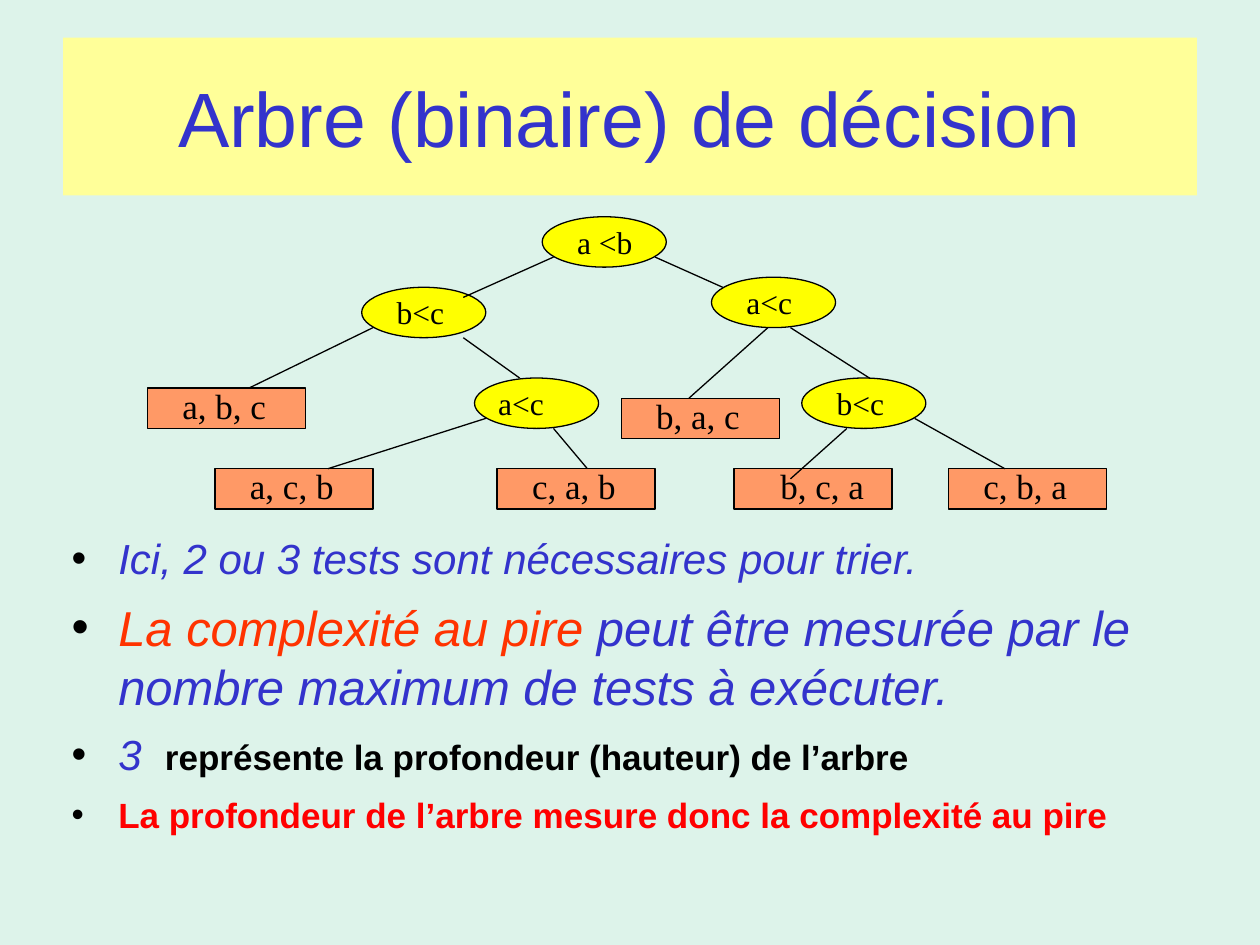
from dataclasses import dataclass

from lxml import etree
from pptx import Presentation
from pptx.dml.color import RGBColor
from pptx.enum.shapes import MSO_CONNECTOR, MSO_SHAPE
from pptx.enum.text import MSO_ANCHOR, MSO_AUTO_SIZE, PP_ALIGN
from pptx.oxml.ns import qn
from pptx.util import Cm, Pt

OVAL = MSO_SHAPE.OVAL
RECTANGLE = MSO_SHAPE.RECTANGLE
STRAIGHT = MSO_CONNECTOR.STRAIGHT
MIDDLE = MSO_ANCHOR.MIDDLE
TOP = MSO_ANCHOR.TOP
NO_FIT = MSO_AUTO_SIZE.NONE
CENTER = PP_ALIGN.CENTER
LEFT = PP_ALIGN.LEFT

COLORS = {
    "background": "DDF3EA",
    "banner": "FFFF99",
    "blue": "3333CC",
    "orange": "FF3300",
    "red": "FF0000",
    "black": "000000",
    "test": "FFFF00",
    "order": "FF9966",
}

TREE_LEFT, TREE_TOP = 2.97, 4.37
COLUMN = 16.15 / 71
ROW = 5.08 / 25


@dataclass(frozen=True)
class NodeStyle:
    outline: int
    fill: str
    columns: int
    rows: int
    label_rise: int
    label_width: float
    label_height: float
    size: int


@dataclass(frozen=True)
class Node:
    style: NodeStyle
    label: str
    column: int
    row: int
    label_shift: int = 2


@dataclass(frozen=True)
class Branch:
    start: tuple[int, int]
    end: tuple[int, int]


@dataclass(frozen=True)
class Span:
    text: str
    size: int
    color: str
    bold: bool = False
    italic: bool = False
    tracking: int = 0


TEST = NodeStyle(OVAL, "test", 11, 5, 0, 1.78, 1.02, 18)
ORDER = NodeStyle(RECTANGLE, "order", 14, 4, 1, 2.29, 1.12, 20)

NODES = [
    Node(TEST, "a <b", 35, 0),
    Node(TEST, "b<c", 19, 7),
    Node(TEST, "a<c", 50, 6),
    Node(TEST, "a<c", 29, 16, 1),
    Node(TEST, "b<c", 58, 16),
    Node(ORDER, "a, b, c", 0, 17),
    Node(ORDER, "b, a, c", 42, 18),
    Node(ORDER, "a, c, b", 6, 25),
    Node(ORDER, "c, a, b", 31, 25),
    Node(ORDER, "b, c, a", 52, 25, 3),
    Node(ORDER, "c, b, a", 71, 25),
]

BRANCHES = [
    Branch((36, 4), (28, 8)),
    Branch((45, 4), (51, 7)),
    Branch((20, 11), (9, 17)),
    Branch((28, 12), (33, 16)),
    Branch((55, 11), (48, 18)),
    Branch((57, 11), (64, 16)),
    Branch((30, 20), (16, 25)),
    Branch((36, 21), (39, 25)),
    Branch((62, 21), (57, 26)),
    Branch((68, 20), (76, 25)),
]

REMARKS = [
    [Span("Ici, 2 ou 3 tests sont nécessaires pour trier.", 24, "blue", italic=True)],
    [
        Span("La complexité au pire ", 28, "orange", italic=True),
        Span("peut être mesurée par le nombre maximum de tests à exécuter.",
             28, "blue", italic=True),
    ],
    [
        Span("3 ", 24, "blue", italic=True, tracking=335),
        Span("représente la profondeur (hauteur) de l’arbre", 20, "black", bold=True),
    ],
    [Span("La profondeur de l’arbre mesure donc la complexité au pire",
          20, "red", bold=True)],
]


def color(name: str) -> RGBColor:
    return RGBColor.from_string(COLORS[name])


def apply(target, values: dict) -> None:
    for name, value in values.items():
        setattr(target, name, value)


def place(shape, left: float, top: float, width: float, height: float) -> None:
    apply(shape, {"left": Cm(left), "top": Cm(top),
                  "width": Cm(width), "height": Cm(height)})


def paint(shape, fill: str) -> None:
    shape.fill.solid()
    shape.fill.fore_color.rgb = color(fill)


def ink(line) -> None:
    line.color.rgb = color("black")
    line.width = Pt(0.75)


def add_span(para, span: Span, font_name: str = "Arial") -> None:
    run = para.add_run()
    run.text = span.text
    apply(run.font, {"name": font_name, "size": Pt(span.size),
                     "bold": span.bold, "italic": span.italic})
    run.font.color.rgb = color(span.color)
    if span.tracking:
        run.font._element.set("spc", str(span.tracking))


def add_bullet(para) -> None:
    properties = para._p.get_or_add_pPr()
    properties.set("marL", str(Cm(0.94)))
    properties.set("indent", str(-Cm(0.94)))
    bullet_color = etree.SubElement(properties, qn("a:buClr"))
    etree.SubElement(bullet_color, qn("a:srgbClr"), val=COLORS["black"])
    etree.SubElement(properties, qn("a:buFont"), typeface="Arial")
    etree.SubElement(properties, qn("a:buChar"), char="•")


def grid_point(column: float, row: float) -> tuple[float, float]:
    return TREE_LEFT + column * COLUMN, TREE_TOP + row * ROW


def draw_node(page, node: Node) -> None:
    style = node.style
    left, top = grid_point(node.column, node.row)
    shape = page.shapes.add_shape(
        style.outline, Cm(left), Cm(top),
        Cm(style.columns * COLUMN), Cm(style.rows * ROW))
    shape.shadow.inherit = False
    paint(shape, style.fill)
    ink(shape.line)

    left, top = grid_point(node.column + node.label_shift, node.row - style.label_rise)
    box = page.shapes.add_textbox(
        Cm(left), Cm(top), Cm(style.label_width), Cm(style.label_height))
    box.text_frame.word_wrap = True
    add_span(box.text_frame.paragraphs[0],
             Span(node.label, style.size, "black"), "Times New Roman")


def draw_branch(page, branch: Branch) -> None:
    ends = [Cm(value) for point in (branch.start, branch.end)
            for value in grid_point(*point)]
    line = page.shapes.add_connector(STRAIGHT, *ends)
    ink(line.line)
    etree.SubElement(line._element.spPr, qn("a:effectLst"))


def main() -> None:
    deck = Presentation()
    apply(deck, {"slide_width": Cm(25.4), "slide_height": Cm(19.05)})
    page = deck.slides.add_slide(deck.slide_layouts[1])
    paint(page.background, "background")

    title, body = page.placeholders
    place(title, 1.27, 0.76, 22.86, 3.18)
    paint(title, "banner")
    apply(title.text_frame, {"vertical_anchor": MIDDLE, "auto_size": NO_FIT})
    heading = title.text_frame.paragraphs[0]
    heading.alignment = CENTER
    add_span(heading, Span("Arbre (binaire) de décision", 44, "blue"))

    place(body, 1.19, 3.96, 22.86, 14.1)
    frame = body.text_frame
    apply(frame, {"vertical_anchor": TOP, "auto_size": NO_FIT,
                  "word_wrap": True, "margin_top": Cm(6.78)})
    for index, spans in enumerate(REMARKS):
        para = frame.add_paragraph() if index else frame.paragraphs[0]
        apply(para, {"alignment": LEFT, "space_before": Pt(8 if index else 0)})
        add_bullet(para)
        for span in spans:
            add_span(para, span)

    for node in NODES:
        draw_node(page, node)
    for branch in BRANCHES:
        draw_branch(page, branch)

    deck.save("out.pptx")


if __name__ == "__main__":
    main()
